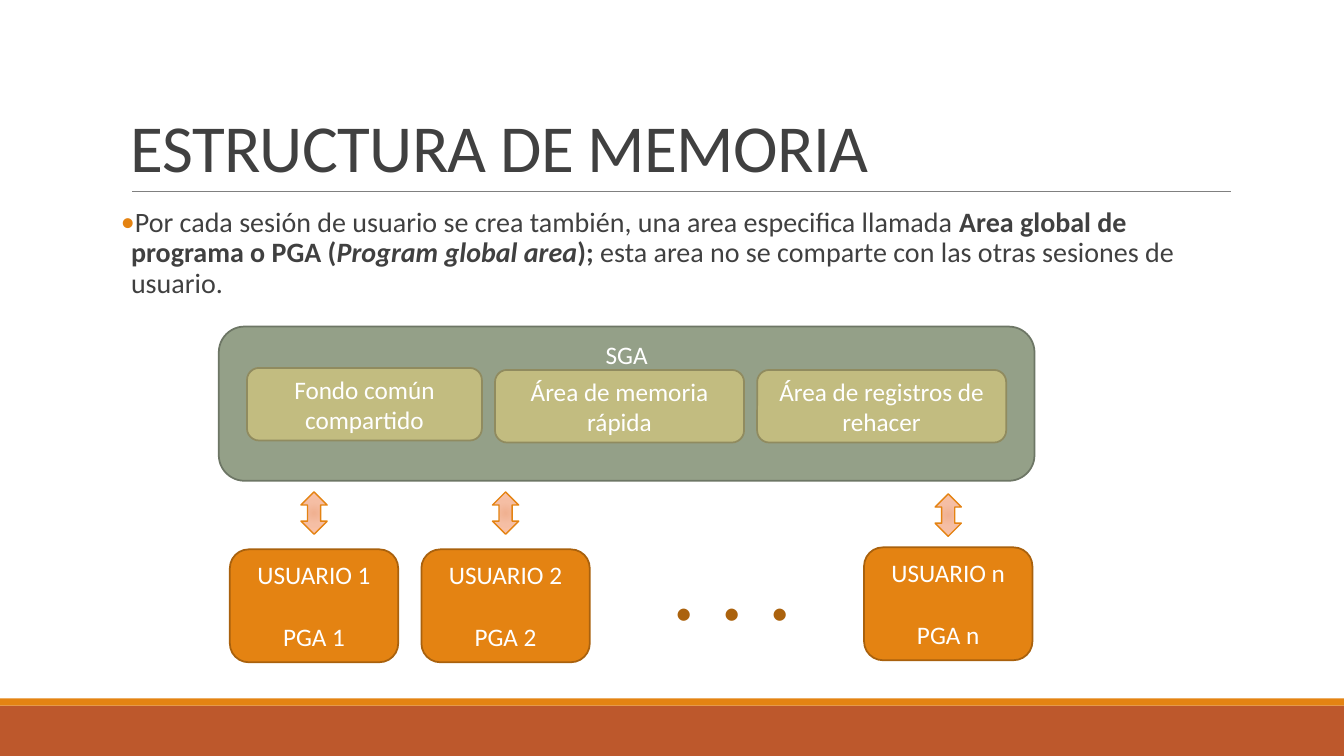
from pptx import Presentation
from pptx.dml.color import RGBColor
from pptx.enum.shapes import MSO_CONNECTOR, MSO_SHAPE
from pptx.enum.text import MSO_ANCHOR, PP_ALIGN
from pptx.oxml import parse_xml
from pptx.oxml.ns import nsdecls
from pptx.util import Inches, Pt
from lxml.etree import SubElement

FONT = "Calibri"
WHITE = RGBColor(0xFF, 0xFF, 0xFF)
DARK = RGBColor(0x40, 0x40, 0x40)
GRAY = RGBColor(0x80, 0x80, 0x80)
RUST = RGBColor(0xBD, 0x58, 0x2C)
ORANGE = RGBColor(0xE4, 0x83, 0x12)
ORANGE_EDGE = RGBColor(0xA9, 0x61, 0x0D)
DOTS_BROWN = RGBColor(0xAB, 0x62, 0x0D)
GREEN = RGBColor(0x94, 0xA0, 0x88)
GREEN_EDGE = RGBColor(0x6D, 0x76, 0x65)
OLIVE = RGBColor(0xC2, 0xBC, 0x80)
OLIVE_EDGE = RGBColor(0x90, 0x8B, 0x5F)

ARROW_STOPS = [(0, "F0B191"), (45, "F5BEA4"), (100, "FDC3A8")]

MEMORY_AREAS = [  # text, left, top, width
    ("Fondo común compartido", 2.45, 3.65, 2.33),
    ("Área de memoria rápida", 4.91, 3.67, 2.47),
    ("Área de registros de rehacer", 7.51, 3.67, 2.47),
]
USERS = [  # number, left, box top, arrow top
    ("1", 2.28, 5.45, 4.88),
    ("2", 4.18, 5.45, 4.88),
    ("n", 8.57, 5.43, 4.9),
]
USER_WIDTH = 1.67
ARROW_WIDTH = 0.26


def style_run(run, size, color, bold=False, italic=False):
    run.font.name = FONT
    run.font.size = Pt(size)
    run.font.color.rgb = color
    run.font.bold = bold
    run.font.italic = italic


def add_shape(slide, kind, left, top, width, height, fill=None, edge=None, edge_width=1.25):
    shape = slide.shapes.add_shape(
        kind, Inches(left), Inches(top), Inches(width), Inches(height))
    shape.shadow.inherit = False
    if fill is None:
        shape.fill.background()
    else:
        shape.fill.solid()
        shape.fill.fore_color.rgb = fill
    if edge is None:
        shape.line.fill.background()
    else:
        shape.line.color.rgb = edge
        shape.line.width = Pt(edge_width)
    return shape


def add_box(slide, text, left, top, width, height, fill, edge, anchor=MSO_ANCHOR.TOP):
    box = add_shape(slide, MSO_SHAPE.ROUNDED_RECTANGLE, left, top, width, height, fill, edge)
    text_frame = box.text_frame
    text_frame.text = text
    text_frame.word_wrap = True
    text_frame.vertical_anchor = anchor
    for paragraph in text_frame.paragraphs:
        paragraph.alignment = PP_ALIGN.CENTER
        style_run(paragraph.runs[0], 18, WHITE)
    return box


def add_text(slide, left, top, width, height, anchor=MSO_ANCHOR.TOP):
    text_box = slide.shapes.add_textbox(
        Inches(left), Inches(top), Inches(width), Inches(height))
    text_box.text_frame.word_wrap = True
    text_box.text_frame.vertical_anchor = anchor
    return text_box.text_frame


def add_arrow(slide, left, top):
    arrow = add_shape(slide, MSO_SHAPE.UP_DOWN_ARROW, left, top, ARROW_WIDTH, 0.42,
                      edge=ORANGE, edge_width=1)
    stops = "".join(
        f'<a:gs pos="{position * 1000}"><a:srgbClr val="{color}"/></a:gs>'
        for position, color in ARROW_STOPS)
    gradient = parse_xml(
        f'<a:gradFill {nsdecls("a")} rotWithShape="1"><a:gsLst>{stops}</a:gsLst>'
        '<a:path path="circle"><a:fillToRect l="100000" t="100000" r="100000" b="100000"/>'
        '</a:path></a:gradFill>')
    properties = arrow.element.spPr
    properties.replace(properties.find("{*}noFill"), gradient)


def add_frame(slide):
    add_shape(slide, MSO_SHAPE.RECTANGLE, 0, 7, 13.33, 0.5, RUST)
    add_shape(slide, MSO_SHAPE.RECTANGLE, 0, 6.93, 13.33, 0.07, ORANGE)
    rule = slide.shapes.add_connector(
        MSO_CONNECTOR.STRAIGHT, Inches(1.31), Inches(1.9), Inches(12.21), Inches(1.9))
    rule.line.color.rgb = GRAY
    rule.line.width = Pt(0.5)
    rule.element.spPr.append(parse_xml(f'<a:effectLst {nsdecls("a")}/>'))


def add_title(slide):
    text_frame = add_text(slide, 1.2, 0.31, 11, 1.59, MSO_ANCHOR.BOTTOM)
    text_frame.text = "ESTRUCTURA DE MEMORIA"
    paragraph = text_frame.paragraphs[0]
    paragraph.line_spacing = 0.85
    style_run(paragraph.runs[0], 48, DARK)
    paragraph.runs[0].font._element.set("spc", "-50")


def add_bullet(paragraph):
    properties = paragraph._p.get_or_add_pPr()
    properties.set("marL", str(Inches(0.1)))
    properties.set("indent", str(-Inches(0.1)))
    namespace = "{http://schemas.openxmlformats.org/drawingml/2006/main}"
    bullet_color = SubElement(properties, namespace + "buClr")
    SubElement(bullet_color, namespace + "srgbClr", val=str(ORANGE))
    SubElement(properties, namespace + "buFont", typeface=FONT)
    SubElement(properties, namespace + "buChar", char="•")


def add_body(slide):
    text_frame = add_text(slide, 1.2, 2.02, 11, 4.4)
    text_frame.margin_left = text_frame.margin_right = 0
    paragraph = text_frame.paragraphs[0]
    paragraph.line_spacing = 0.9
    paragraph.space_before = Pt(12)
    paragraph.space_after = Pt(2)
    add_bullet(paragraph)
    for text, bold, italic in [
        ("Por cada sesión de usuario se crea también, una area especifica llamada ", False, False),
        ("Area global de programa o PGA (", True, False),
        ("Program global area", True, True),
        ("); ", True, False),
        ("esta area no se comparte con las otras sesiones de usuario.", False, False),
    ]:
        run = paragraph.add_run()
        run.text = text
        style_run(run, 20, DARK, bold, italic)


def add_dots(slide):
    text_frame = add_text(slide, 6.56, 5.11, 1.44, 1.31)
    text_frame.text = ". . ."
    style_run(text_frame.paragraphs[0].runs[0], 72, DOTS_BROWN)


def main():
    presentation = Presentation()
    presentation.slide_width = Inches(13.33)
    presentation.slide_height = Inches(7.5)
    slide = presentation.slides.add_slide(presentation.slide_layouts[6])

    # Bars, rule and texts
    add_frame(slide)
    add_title(slide)
    add_body(slide)

    # Shared memory
    add_box(slide, "SGA", 2.17, 3.24, 8.09, 1.53, GREEN, GREEN_EDGE)
    for text, left, top, width in MEMORY_AREAS:
        add_box(slide, text, left, top, width, 0.72, OLIVE, OLIVE_EDGE, MSO_ANCHOR.MIDDLE)

    # User sessions, each with an arrow centred above
    for number, left, top, arrow_top in USERS:
        box = add_box(slide, f"USUARIO {number}\nPGA {number}", left, top,
                      USER_WIDTH, 1.12, ORANGE, ORANGE_EDGE)
        box.text_frame.paragraphs[1].space_before = Pt(22)
        add_arrow(slide, left + (USER_WIDTH - ARROW_WIDTH) / 2, arrow_top)
    add_dots(slide)

    presentation.save("out.pptx")


if __name__ == "__main__":
    main()
